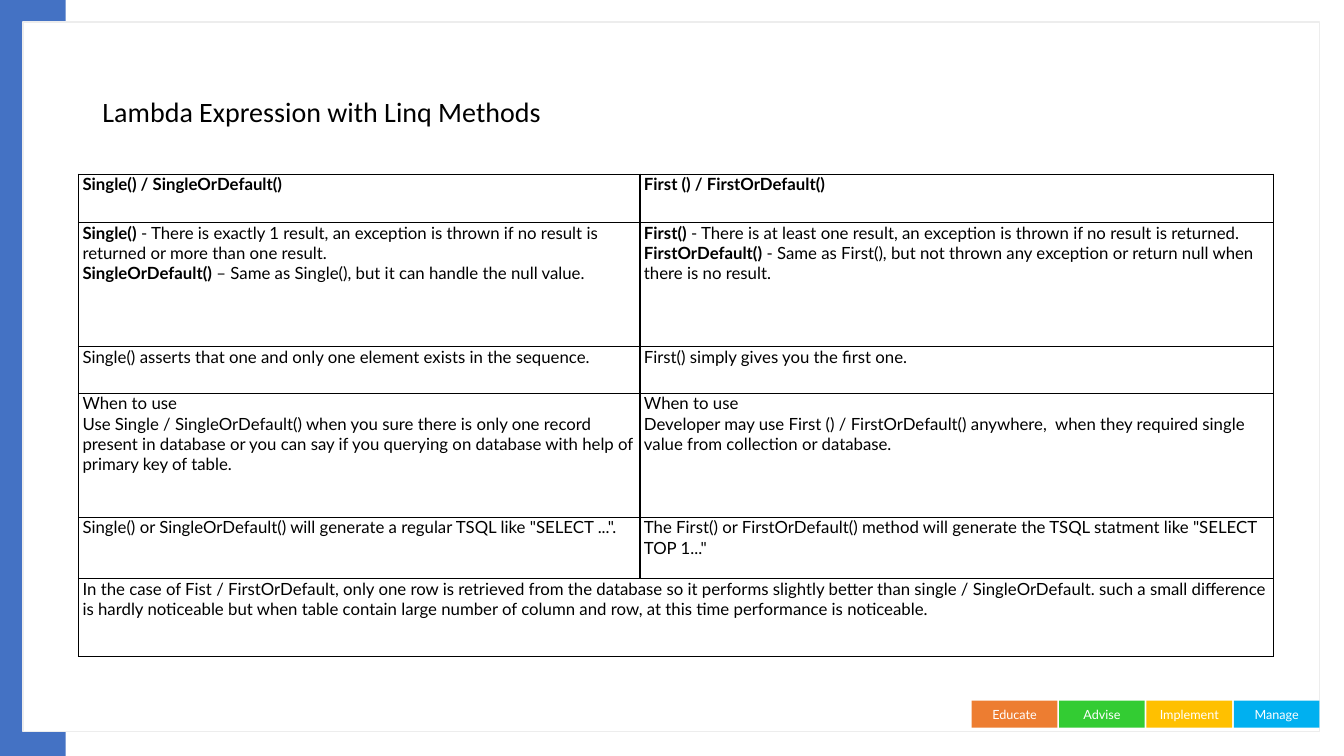
from pptx import Presentation
from pptx import util as u
from pptx.dml import color
from pptx.enum import shapes, text
from pptx.oxml import ns
from lxml import etree

COLUMNS = [401, 452.5]
ROWS = [34.5, 88.5, 33.5, 88.5, 44, 55.5]
CELLS = [
    [[("Single() / SingleOrDefault()", "")],
     [("First () / FirstOrDefault()", "")]],
    [[("Single()", " - There is exactly 1 result, an exception is thrown if no result is "
                   "returned or more than one result."),
      ("SingleOrDefault()", " – Same as Single(), but it can handle the null value.")],
     [("First()", " - There is at least one result, an exception is thrown if no result is returned."),
      ("FirstOrDefault()", " - Same as First(), but not thrown any exception or return null "
                           "when there is no result.")]],
    [[("", "Single() asserts that one and only one element exists in the sequence.")],
     [("", "First() simply gives you the first one.")]],
    [[("", "When to use"),
      ("", "Use Single / SingleOrDefault() when you sure there is only one record present in "
           "database or you can say if you querying on database with help of primary key of table.")],
     [("", "When to use"),
      ("", "Developer may use First () / FirstOrDefault() anywhere,  when they required single "
           "value from collection or database.")]],
    [[("", 'Single() or SingleOrDefault() will generate a regular TSQL like "SELECT ...".')],
     [("", 'The First() or FirstOrDefault() method will generate the TSQL statment like "SELECT TOP 1..."')]],
    [[("", "In the case of Fist / FirstOrDefault, only one row is retrieved from the database so it "
           "performs slightly better than single / SingleOrDefault. such a small difference is hardly "
           "noticeable but when table contain large number of column and row, at this time "
           "performance is noticeable.")]],
]
BUTTONS = [("Educate", "ED7D31"), ("Advise", "33CC33"), ("Implement", "FFC000"), ("Manage", "00B0F0")]


def rgb(code):
    return color.RGBColor.from_string(code)


def add_text(para, words, size=12, font="Lato", ink="000000", bold=False):
    span = para.add_run()
    span.text = words
    span.font.size = u.Pt(size)
    span.font.name = font
    span.font.bold = bold
    span.font.color.rgb = rgb(ink)


def add_box(page, left, top, width, height, fill, line=None):
    box = page.shapes.add_shape(shapes.MSO_SHAPE.RECTANGLE,
                                u.Pt(left), u.Pt(top), u.Pt(width), u.Pt(height))
    box.shadow.inherit = False
    box.fill.solid()
    box.fill.fore_color.rgb = rgb(fill)
    if line:
        box.line.color.rgb = rgb(line)
        box.line.width = u.Pt(1)
    else:
        box.line.fill.background()
    return box


def add_button(page, left, label, fill):
    frame = add_box(page, left, 500.4, 61.2, 19.4, fill).text_frame
    frame.margin_left = frame.margin_right = 0
    frame.margin_top = frame.margin_bottom = 0
    frame.vertical_anchor = text.MSO_ANCHOR.MIDDLE
    frame.paragraphs[0].alignment = text.PP_ALIGN.CENTER
    add_text(frame.paragraphs[0], label, size=9, ink="FFFFFF")


def set_title(page, words):
    title = page.shapes.title
    title.left, title.top, title.width, title.height = map(u.Pt, (66, 28.75, 828, 104.4))
    title.text_frame.vertical_anchor = text.MSO_ANCHOR.MIDDLE
    para = title.text_frame.paragraphs[0]
    para.alignment = text.PP_ALIGN.LEFT
    para.line_spacing = 0.9
    add_text(para, words, size=20, font="Calibri")


def set_borders(cell, ink):
    properties = cell._tc.get_or_add_tcPr()
    for index, side in enumerate(("a:lnL", "a:lnR", "a:lnT", "a:lnB")):
        line = etree.Element(ns.qn(side), w=str(u.Pt(1)))
        fill = etree.SubElement(line, ns.qn("a:solidFill"))
        etree.SubElement(fill, ns.qn("a:srgbClr"), val=ink)
        properties.insert(index, line)


def format_cell(cell):
    cell.fill.solid()
    cell.fill.fore_color.rgb = rgb("FFFFFF")
    cell.margin_left = cell.margin_right = u.Pt(2.9)
    cell.margin_top = cell.margin_bottom = 0
    set_borders(cell, "000000")


def fill_cell(cell, lines):
    frame = cell.text_frame
    for index, (strong, plain) in enumerate(lines):
        para = frame.add_paragraph() if index else frame.paragraphs[0]
        if strong:
            add_text(para, strong, bold=True)
        if plain:
            add_text(para, plain)


def add_comparison(page, left, top):
    table = page.shapes.add_table(len(ROWS), len(COLUMNS), u.Pt(left), u.Pt(top),
                                  u.Pt(sum(COLUMNS)), u.Pt(sum(ROWS))).table
    for column, width in zip(table.columns, COLUMNS):
        column.width = u.Pt(width)
    for row, height in zip(table.rows, ROWS):
        row.height = u.Pt(height)
        for cell in row.cells:
            format_cell(cell)
    last = len(ROWS) - 1
    table.cell(last, 0).merge(table.cell(last, 1))
    for row, contents in zip(table.rows, CELLS):
        for cell, lines in zip(row.cells, contents):
            fill_cell(cell, lines)


def main():
    deck = Presentation()
    deck.slide_width, deck.slide_height = u.Pt(960), u.Pt(540)
    page = deck.slides.add_slide(deck.slide_layouts[5])
    add_box(page, 0, 0, 47, 540, "4472C4")
    add_box(page, 16.5, 15.8, 926, 506.9, "FFFFFF", line="EDEDED")
    for index, (label, fill) in enumerate(BUTTONS):
        add_button(page, 694.1 + index * 62.4, label, fill)
    set_title(page, "Lambda Expression with Linq Methods")
    title = page.shapes.title._element
    title.getparent().append(title)
    add_comparison(page, 56.1, 124.5)
    deck.save("out.pptx")


if __name__ == "__main__":
    main()
